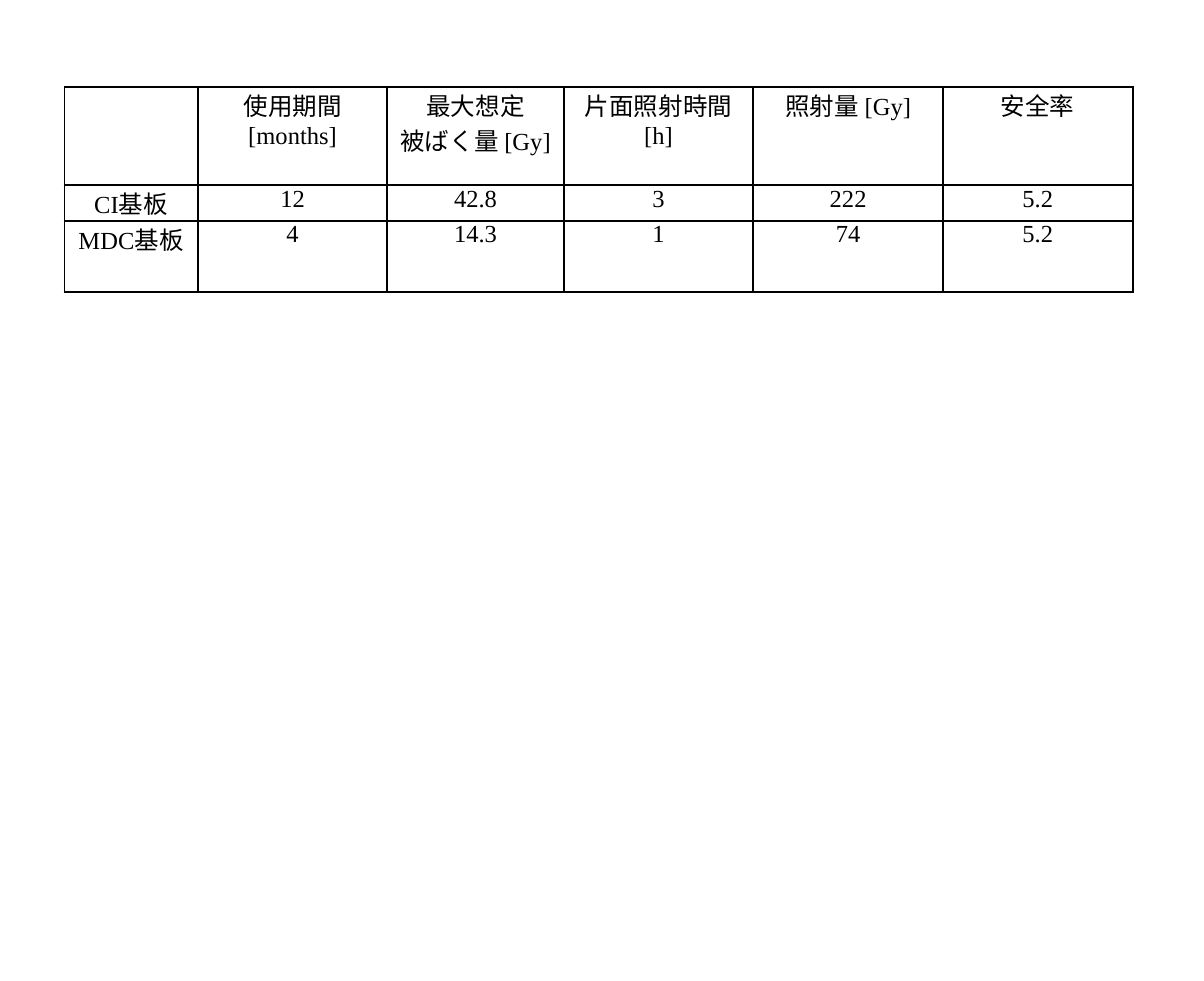
from lxml.etree import SubElement
from pptx import Presentation
from pptx.dml.color import RGBColor
from pptx.enum.text import PP_ALIGN as Align
from pptx.oxml.ns import qn
from pptx.util import Cm, Pt

BLACK = RGBColor(0, 0, 0)
FONT = "Times New Roman"
BORDER_WIDTH = Pt(1)

COLUMN_WIDTHS = [2.11, 3, 2.79, 3, 3, 3]
ROW_HEIGHTS = [0.69, 0.33, 0.33]
# Line breaks separate paragraphs
DOSE_ROWS = [
    ["", "使用期間 [months]", "最大想定\n被ばく量 [Gy] ", "片面照射時間 [h]", "照射量 [Gy]", "安全率"],
    ["CI基板", "12", "42.8", "3", "222", "5.2"],
    ["MDC基板", "4", "14.3", "1", "74", "5.2"],
]


def add_borders(cell):
    properties = cell._tc.get_or_add_tcPr()
    for position, side in enumerate(("lnL", "lnR", "lnT", "lnB")):
        line = SubElement(properties, qn(f"a:{side}"), w=str(BORDER_WIDTH))
        fill = SubElement(line, qn("a:solidFill"))
        SubElement(fill, qn("a:srgbClr"), val=str(BLACK))
        properties.insert(position, line)  # borders precede the fill


def format_cell(cell, text):
    cell.text = text
    cell.margin_left = cell.margin_right = Cm(0.18)
    cell.margin_top = cell.margin_bottom = 0
    cell.fill.background()
    add_borders(cell)
    for paragraph in cell.text_frame.paragraphs:
        paragraph.alignment = Align.CENTER
        paragraph.font.name = FONT
        paragraph.font.size = Pt(11)
        paragraph.font.bold = False
        paragraph.font.color.rgb = BLACK


def add_dose_table(slide, left, top, width, height):
    frame = slide.shapes.add_table(len(DOSE_ROWS), len(COLUMN_WIDTHS),
                                   Cm(left), Cm(top), Cm(width), Cm(height))
    dose_table = frame.table
    dose_table.first_row = dose_table.horz_banding = False
    # Column and row sizes share out the given box
    for column, share in zip(dose_table.columns, COLUMN_WIDTHS):
        column.width = Cm(width * share / sum(COLUMN_WIDTHS))
    for row, share, texts in zip(dose_table.rows, ROW_HEIGHTS, DOSE_ROWS):
        row.height = Cm(height * share / sum(ROW_HEIGHTS))
        for cell, text in zip(row.cells, texts):
            format_cell(cell, text)


presentation = Presentation()
presentation.slide_width = Cm(19.05)
presentation.slide_height = Cm(15.52)
blank_layout = presentation.slide_layouts[6]
dose_slide = presentation.slides.add_slide(blank_layout)
add_dose_table(dose_slide, left=1.02, top=1.37, width=16.9, height=1.35)
presentation.save("out.pptx")
